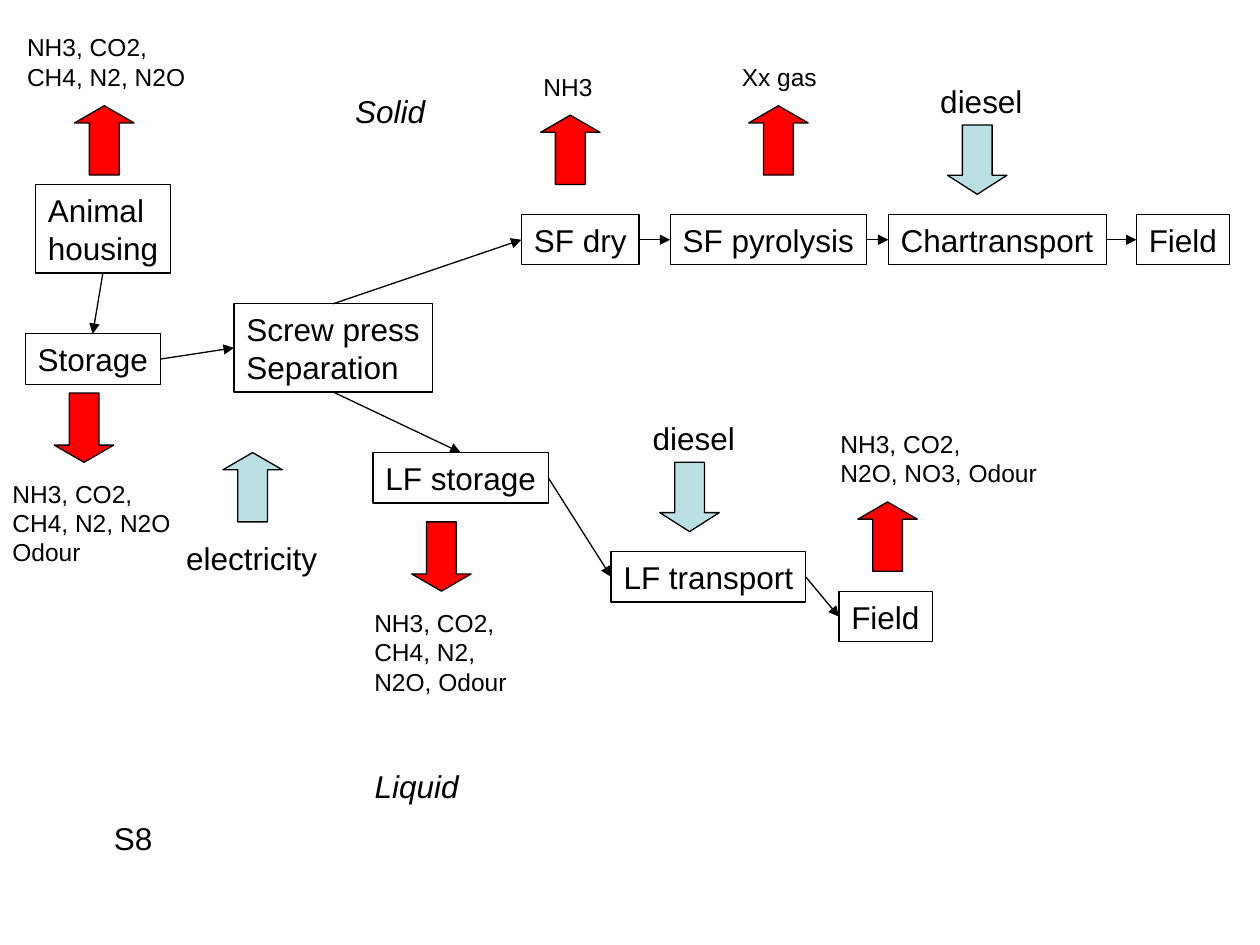
from pptx import Presentation
from pptx.dml.color import RGBColor
from pptx.enum.shapes import MSO_CONNECTOR, MSO_SHAPE
from pptx.enum.text import MSO_ANCHOR, MSO_AUTO_SIZE, PP_ALIGN
from pptx.oxml.ns import qn
from pptx.util import Pt
from lxml import etree

RECTANGLE = MSO_SHAPE.RECTANGLE
UP_ARROW = MSO_SHAPE.UP_ARROW
STRAIGHT = MSO_CONNECTOR.STRAIGHT
LEFT_ALIGN = PP_ALIGN.LEFT
ANCHOR_TOP = MSO_ANCHOR.TOP
FIXED_SIZE = MSO_AUTO_SIZE.NONE

BLACK = RGBColor(0x00, 0x00, 0x00)
EMISSION = RGBColor(0xFF, 0x00, 0x00)
ENERGY = RGBColor(0xBB, 0xE0, 0xE3)

FONT = "Arial"
PROCESS_SIZE, GAS_SIZE = 18, 14
LINE_HEIGHT = {PROCESS_SIZE: 21.6, GAS_SIZE: 16.8}
INSET_LEFT, INSET_RIGHT, INSET_Y = 7.2, 0, 3.6
LINE_WIDTH = 0.75
ARROW_WIDTH, ARROW_HEIGHT = 34, 39.6
TOP, LEFT, BOTTOM, RIGHT = range(4)
SOLID_ROW = 122.6

PROCESSES = {
    "housing": (["Animal", "housing"], 20.2, 105.6, 77.2),
    "storage": (["Storage"], 14.4, 190.8, 77.2),
    "separation": (["Screw press", "Separation"], 133.7, 173.6, 113.3),
    "drying": (["SF dry"], 298, SOLID_ROW, 67.2),
    "pyrolysis": (["SF pyrolysis"], 383, SOLID_ROW, 112.2),
    "char transport": (["Chartransport"], 507.6, SOLID_ROW, 124.6),
    "solid field": (["Field"], 649.4, SOLID_ROW, 53.4),
    "liquid storage": (["LF storage"], 213.1, 258.6, 100.2),
    "liquid transport": (["LF transport"], 349.2, 315.2, 111.2),
    "liquid field": (["Field"], 479.4, 338, 53.4),
}

FLOWS = [
    ("housing", BOTTOM, "storage", TOP),
    ("storage", RIGHT, "separation", LEFT),
    ("separation", TOP, "drying", LEFT),
    ("drying", RIGHT, "pyrolysis", LEFT),
    ("pyrolysis", RIGHT, "char transport", LEFT),
    ("char transport", RIGHT, "solid field", LEFT),
    ("separation", BOTTOM, "liquid storage", TOP),
    ("liquid storage", RIGHT, "liquid transport", LEFT),
    ("liquid transport", RIGHT, "liquid field", LEFT),
]

LABELS = [
    (["Solid"], 195.8, 49, 54.4, PROCESS_SIZE, True),
    (["Liquid"], 207, 434.6, 62.2, PROCESS_SIZE, True),
    (["S8"], 58, 464.4, 36, PROCESS_SIZE, False),
    (["electricity"], 99.2, 304.2, 89.2, PROCESS_SIZE, False),
    (["diesel"], 365.8, 235.8, 61.2, PROCESS_SIZE, False),
    (["diesel"], 530.2, 43.2, 61.2, PROCESS_SIZE, False),
    (["NH3"], 303.4, 37.6, 42.6, GAS_SIZE, False),
    (["Xx gas"], 416.8, 31.8, 56.8, GAS_SIZE, False),
    (["NH3, CO2,", "CH4, N2, N2O"], 8.4, 15, 104.6, GAS_SIZE, False),
    (["NH3, CO2,", "CH4, N2, N2O", "Odour"], 0, 270, 104.6, GAS_SIZE, False),
    (["NH3, CO2,", "CH4, N2,", "N2O, Odour"], 206.8, 343.8, 90, GAS_SIZE, False),
    (["NH3, CO2,", "N2O, NO3, Odour"], 473.2, 241.4, 126.7, GAS_SIZE, False),
]

ARROWS = [
    (42.6, 60.4, EMISSION, 0, 0.29),
    (31, 224.6, EMISSION, 180, 0.29),
    (308.9, 65.8, EMISSION, 0, 0.29),
    (427.8, 60.4, EMISSION, 0, 0.29),
    (235.2, 298.2, EMISSION, 180, 0.29),
    (490.2, 286.8, EMISSION, 0, 0.29),
    (127.4, 258.6, ENERGY, 0, 0.29),
    (377, 264.2, ENERGY, 180, 0.32),
    (541.4, 71.4, ENERGY, 180, 0.32),
]


def text_height(lines, size):
    return 2 * INSET_Y + LINE_HEIGHT[size] * len(lines)


def write_lines(shape, lines, size, italic=False):
    frame = shape.text_frame
    frame.word_wrap = True
    frame.auto_size = FIXED_SIZE
    frame.vertical_anchor = ANCHOR_TOP
    frame.margin_left, frame.margin_right = Pt(INSET_LEFT), Pt(INSET_RIGHT)
    frame.margin_top = frame.margin_bottom = Pt(INSET_Y)
    for index, line in enumerate(lines):
        paragraph = frame.add_paragraph() if index else frame.paragraphs[0]
        paragraph.alignment = LEFT_ALIGN
        run = paragraph.add_run()
        run.text = line
        run.font.name = FONT
        run.font.size = Pt(size)
        run.font.italic = italic
        run.font.color.rgb = BLACK


def outline(shape):
    shape.line.color.rgb = BLACK
    shape.line.width = Pt(LINE_WIDTH)


def add_process(slide, lines, left, top, width):
    height = text_height(lines, PROCESS_SIZE)
    shape = slide.shapes.add_shape(RECTANGLE, Pt(left), Pt(top), Pt(width), Pt(height))
    shape.shadow.inherit = False
    shape.fill.background()
    outline(shape)
    write_lines(shape, lines, PROCESS_SIZE)
    return shape


def add_label(slide, lines, left, top, width, size, italic):
    height = text_height(lines, size)
    label = slide.shapes.add_textbox(Pt(left), Pt(top), Pt(width), Pt(height))
    write_lines(label, lines, size, italic)


def add_arrow(slide, left, top, color, rotation, head):
    arrow = slide.shapes.add_shape(
        UP_ARROW, Pt(left), Pt(top), Pt(ARROW_WIDTH), Pt(ARROW_HEIGHT))
    arrow.shadow.inherit = False
    arrow.adjustments[0] = 0.5
    arrow.adjustments[1] = head
    arrow.rotation = rotation
    arrow.fill.solid()
    arrow.fill.fore_color.rgb = color
    outline(arrow)


def add_flow(slide, source, source_side, target, target_side):
    connector = slide.shapes.add_connector(STRAIGHT, 0, 0, 0, 0)
    connector.begin_connect(source, source_side)
    connector.end_connect(target, target_side)
    outline(connector)
    properties = connector._element.spPr
    tail = etree.SubElement(properties.find(qn("a:ln")), qn("a:tailEnd"))
    tail.set("type", "triangle")
    etree.SubElement(properties, qn("a:effectLst"))


def main():
    presentation = Presentation()
    presentation.slide_width, presentation.slide_height = Pt(720), Pt(540)
    slide = presentation.slides.add_slide(presentation.slide_layouts[6])
    boxes = {name: add_process(slide, *process) for name, process in PROCESSES.items()}
    for source, source_side, target, target_side in FLOWS:
        add_flow(slide, boxes[source], source_side, boxes[target], target_side)
    for arrow in ARROWS:
        add_arrow(slide, *arrow)
    for label in LABELS:
        add_label(slide, *label)
    presentation.save("out.pptx")


if __name__ == "__main__":
    main()
